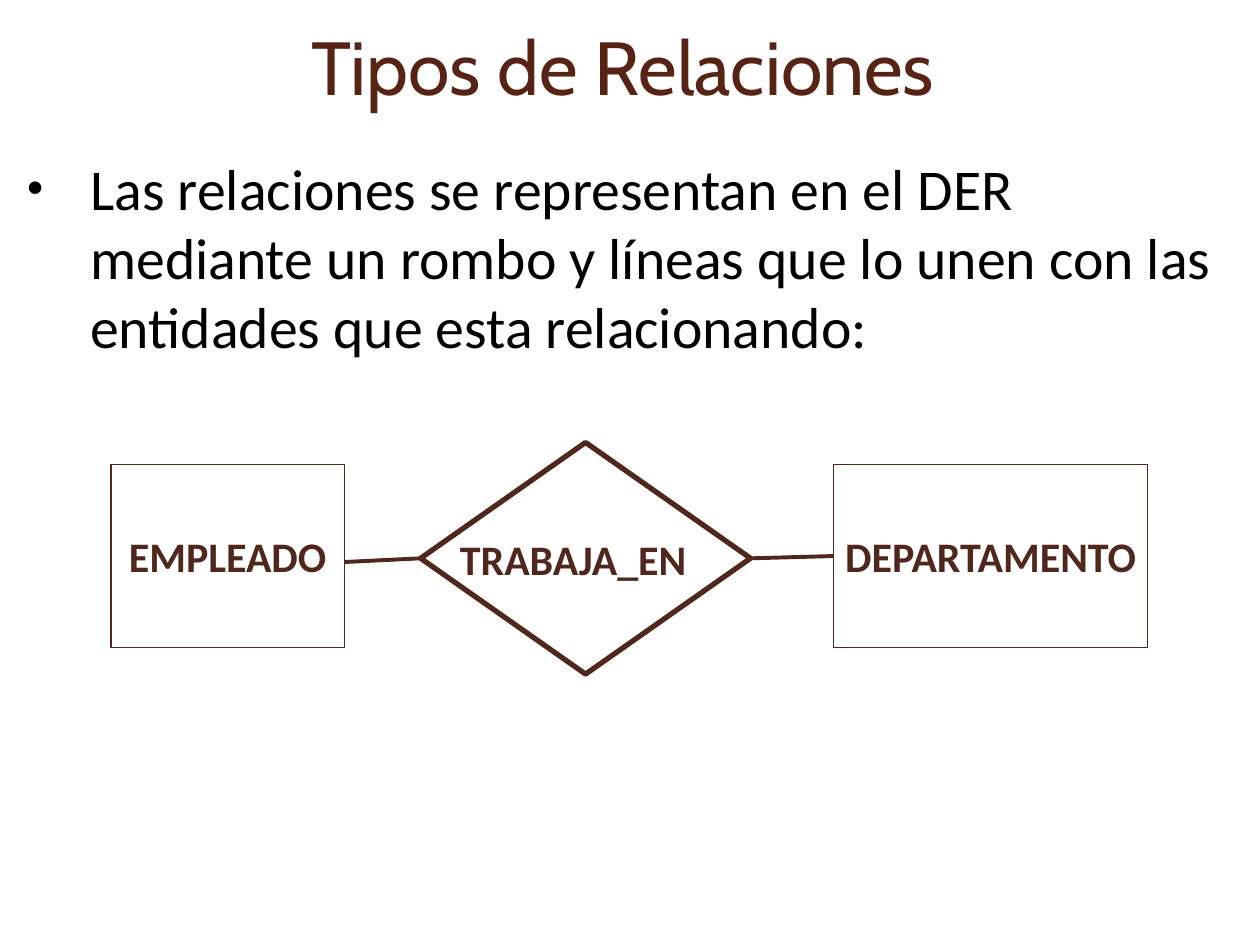
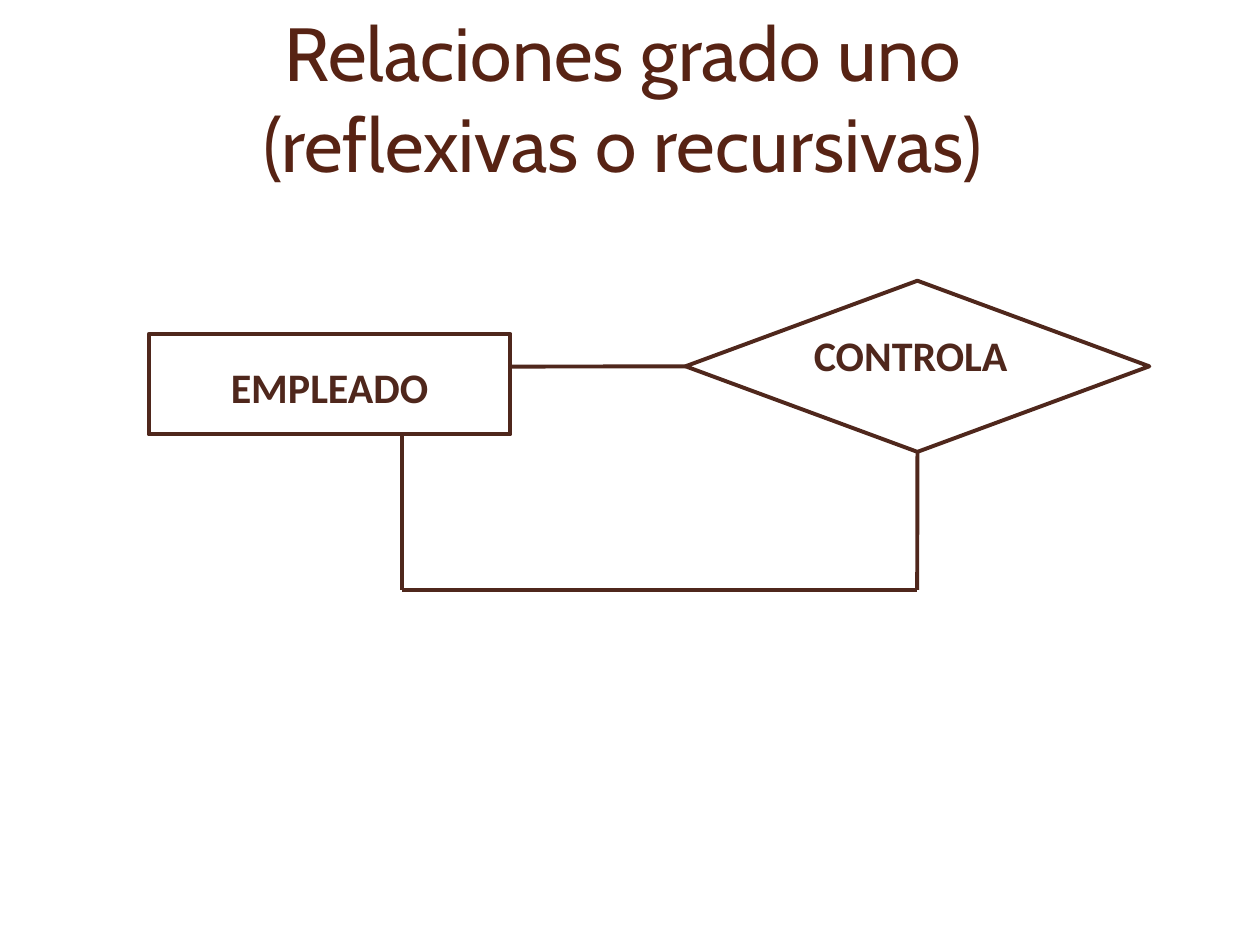
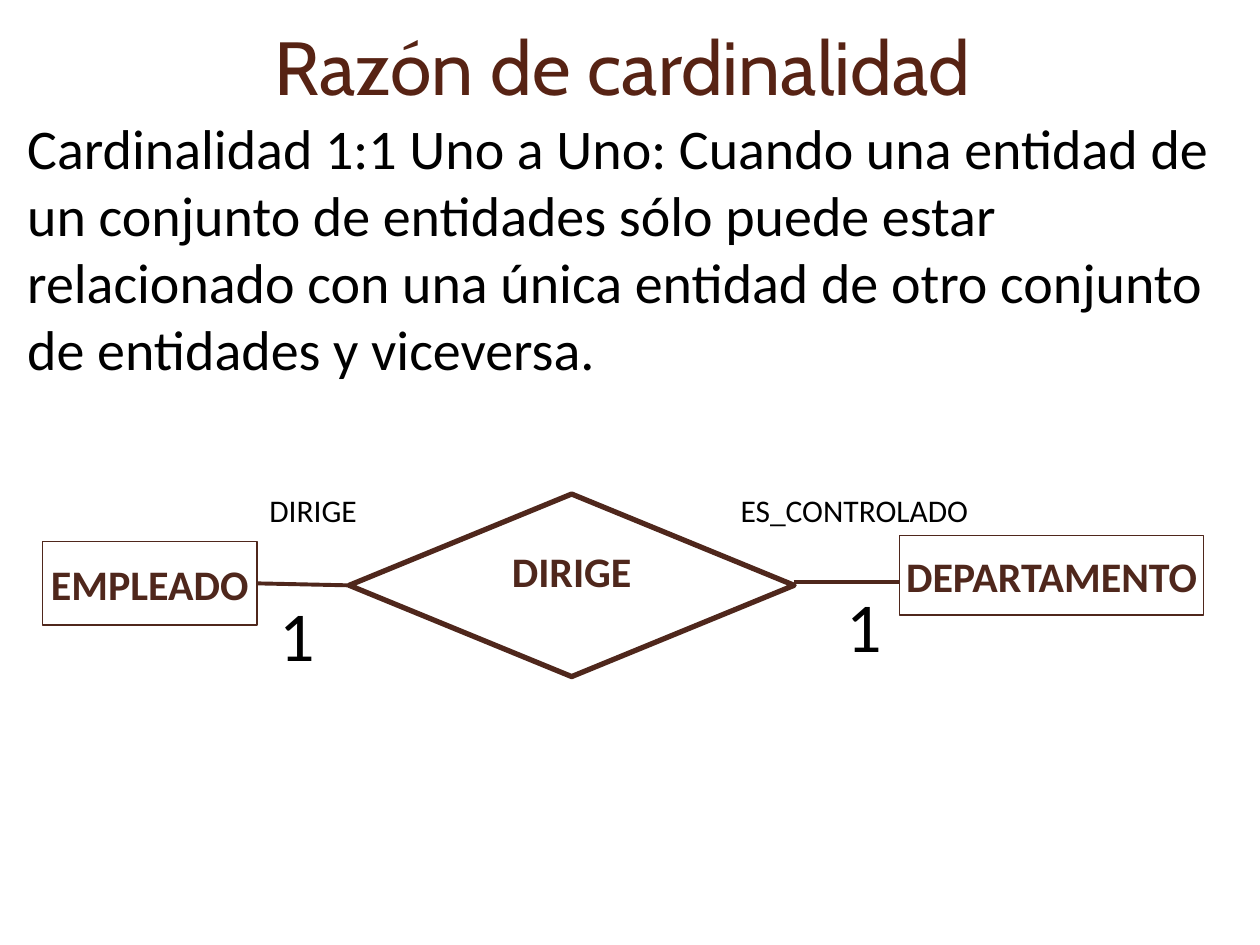
from pptx import Presentation
from pptx.dml.color import RGBColor
from pptx.enum.shapes import MSO_CONNECTOR as Connector, MSO_SHAPE as Preset
from pptx.enum.text import MSO_ANCHOR as Anchor, PP_ALIGN as Align
from pptx.util import Cm, Pt
from lxml import etree
from pptx.oxml.ns import qn

BROWN = RGBColor(0x4F, 0x27, 0x1C)
TITLE_BROWN = RGBColor(0x57, 0x23, 0x14)
BLACK = RGBColor(0, 0, 0)
WHITE = RGBColor(0xFF, 0xFF, 0xFF)

TITLE_FONT = "Cabin"
BODY_FONT = "Calibri"
MARGIN_LEFT = 0.3
CONTENT_WIDTH = 24.5
TOP, LEFT, BOTTOM, RIGHT = range(4)


class RelationDeck:
    def __init__(self):
        self.deck = Presentation()
        self.deck.slide_width = Cm(25.4)
        self.deck.slide_height = Cm(19.05)
        self.page = None

    def add_page(self):
        self.page = self.deck.slides.add_slide(self.deck.slide_layouts[6])

    def fill_text(self, box, words, size, color, font=BODY_FONT, bold=False,
                  align=Align.LEFT, anchor=Anchor.TOP, wrap=True):
        frame = box.text_frame
        frame.text = words
        frame.word_wrap = wrap
        frame.vertical_anchor = anchor
        for para in frame.paragraphs:
            para.alignment = align
            for span in para.runs:
                span.font.name = font
                span.font.size = Pt(size)
                span.font.bold = bold
                span.font.color.rgb = color

    def text(self, words, left, top, width, height, size, color=BLACK, **style):
        box = self.page.shapes.add_textbox(Cm(left), Cm(top), Cm(width), Cm(height))
        self.fill_text(box, words, size, color, **style)
        return box.text_frame.paragraphs[0]

    def title(self, words, height=2.62):
        self.text(words, MARGIN_LEFT, 0, CONTENT_WIDTH, height, 43, TITLE_BROWN,
                  font=TITLE_FONT, align=Align.CENTER, anchor=Anchor.MIDDLE)

    def body(self, words, top, height, size):
        return self.text(words, MARGIN_LEFT, top, CONTENT_WIDTH, height, size)

    def bullet(self, para, indent=1.27):
        para.space_after = Pt(12)
        properties = para._p.get_or_add_pPr()
        properties.set("marL", str(Cm(indent)))
        properties.set("indent", str(-Cm(indent)))
        for tag, name, value in (("a:buSzPct", "val", "80000"),
                                 ("a:buFont", "typeface", "Arial"),
                                 ("a:buChar", "char", "•")):
            etree.SubElement(properties, qn(tag)).set(name, value)

    def outline(self, preset, left, top, width, height, weight, fill):
        shape = self.page.shapes.add_shape(preset, Cm(left), Cm(top), Cm(width), Cm(height))
        shape.shadow.inherit = False
        if fill is None:
            shape.fill.background()
        else:
            shape.fill.solid()
            shape.fill.fore_color.rgb = fill
        shape.line.color.rgb = BROWN
        shape.line.width = Pt(weight)
        return shape

    def entity(self, name, left, top, width, height, weight=0.75, fill=None,
               side=0.2, above=0, below=0, wrap=False):
        shape = self.outline(Preset.RECTANGLE, left, top, width, height, weight, fill)
        self.fill_text(shape, name, 24, BROWN, bold=True, align=Align.CENTER,
                       anchor=Anchor.MIDDLE, wrap=wrap)
        frame = shape.text_frame
        frame.margin_left = frame.margin_right = Cm(side)
        frame.margin_top, frame.margin_bottom = Cm(above), Cm(below)
        return shape

    def relation(self, name, left, top, width, height, weight=3, fill=None,
                 align=Align.CENTER):
        shape = self.outline(Preset.DIAMOND, left, top, width, height, weight, fill)
        if name:
            self.fill_text(shape, name, 24, BROWN, bold=True, align=align)
        return shape

    def link(self, start=(0, 0), end=(0, 0), start_joint=None, end_joint=None):
        line = self.page.shapes.add_connector(Connector.STRAIGHT, *map(Cm, start + end))
        if start_joint:
            line.begin_connect(*start_joint)
        if end_joint:
            line.end_connect(*end_joint)
        line.line.color.rgb = BROWN
        line.line.width = Pt(2.25)
        etree.SubElement(line._element.spPr, qn("a:effectLst"))

    def relation_types(self):
        self.add_page()
        self.title("Tipos de Relaciones")
        self.bullet(self.body(
            "Las relaciones se representan en el DER mediante un rombo y líneas "
            "que lo unen con las entidades que esta relacionando:", 2.95, 4.67, 33))
        self.entity("EMPLEADO", 2.24, 9.37, 4.7, 3.68)
        department = self.entity("DEPARTAMENTO", 16.81, 9.37, 6.32, 3.68)
        works_in = self.relation("", 8.48, 8.92, 6.65, 4.67)
        label = self.text("TRABAJA_EN", 8.94, 10.74, 5.23, 1.17, 24, BROWN,
                          bold=True, align=Align.CENTER, wrap=False)
        label.line_spacing = 0.9
        self.link(start=(6.94, 11.33), end_joint=(works_in, LEFT))
        self.link(start_joint=(works_in, RIGHT), end_joint=(department, LEFT))

    def reflexive_relation(self):
        self.add_page()
        self.title("Relaciones grado uno\n(reflexivas o recursivas)", 3.91)
        self.entity("EMPLEADO", 3, 6.73, 7.29, 2.03, weight=2.25, fill=WHITE,
                    side=0, above=0.13, below=0.03, wrap=True)
        controls = self.relation("CONTROLA", 13.82, 5.66, 9.35, 3.45, weight=2.25,
                                 fill=WHITE, align=Align.LEFT)
        near_corner, far_corner = (8.1, 11.89), (18.49, 11.89)
        self.link(start=(10.29, 7.39), end_joint=(controls, LEFT))
        self.link(end=far_corner, start_joint=(controls, BOTTOM))
        self.link(near_corner, far_corner)
        self.link((8.1, 8.76), near_corner)

    def cardinality(self):
        self.add_page()
        self.body("Cardinalidad 1:1 Uno a Uno: Cuando una entidad de un conjunto de "
                  "entidades sólo puede estar relacionado con una única entidad de "
                  "otro conjunto de entidades y viceversa.", 2.16, 6.12, 32)
        self.title("Razón de cardinalidad")
        employee = self.entity("EMPLEADO", 0.86, 10.92, 4.32, 1.68)
        self.entity("DEPARTAMENTO", 18.14, 10.8, 6.12, 1.6)
        directs = self.relation("DIRIGE", 7.04, 9.96, 8.97, 3.68)
        self.link(start_joint=(employee, RIGHT), end_joint=(directs, LEFT))
        self.link((16, 11.73), (18.14, 11.73))
        for role, left, width in (("DIRIGE", 5.18, 2.29), ("ES_CONTROLADO", 14.68, 5.16)):
            self.text(role, left, 9.78, width, 1.02, 18, wrap=False)
        for left, top in ((16.81, 11.61), (5.38, 11.79)):
            self.text("1", left, top, 1.24, 1.96, 40, wrap=False)


def main():
    relations = RelationDeck()
    relations.relation_types()
    relations.reflexive_relation()
    relations.cardinality()
    relations.deck.save("out.pptx")


if __name__ == "__main__":
    main()
